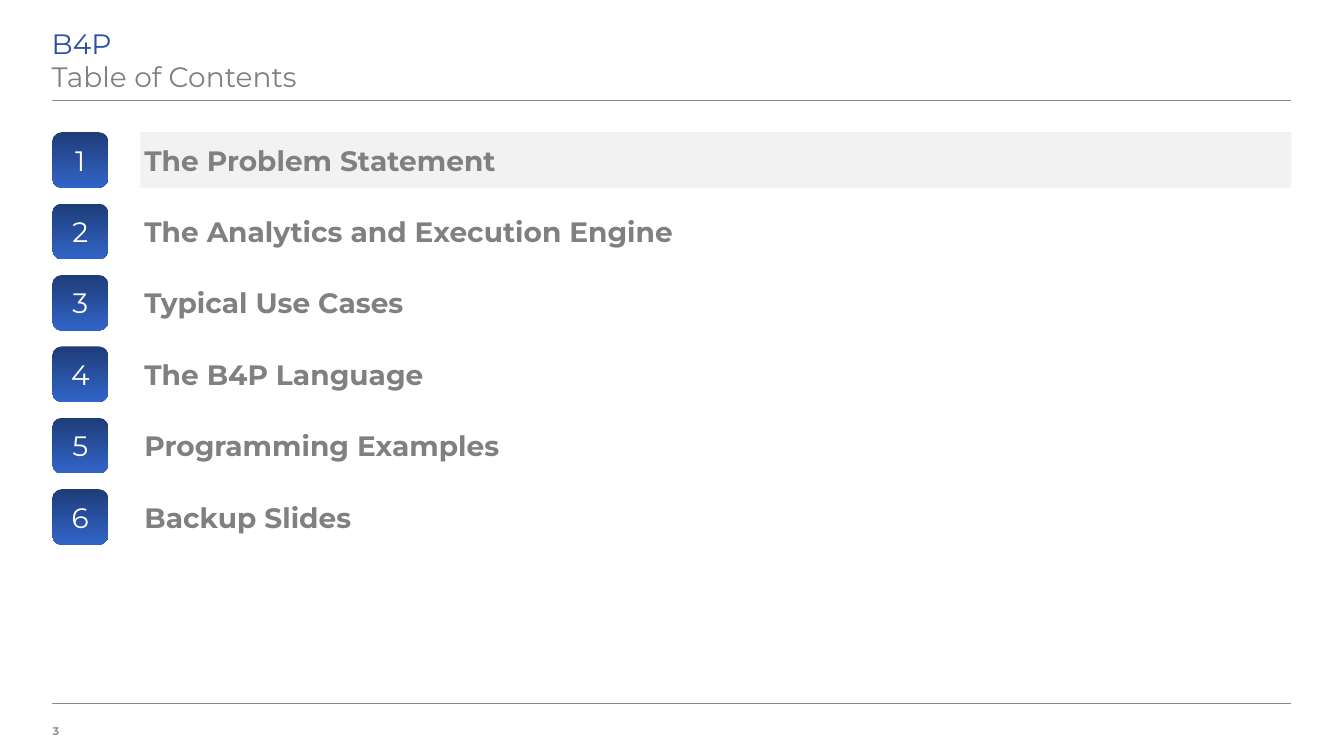
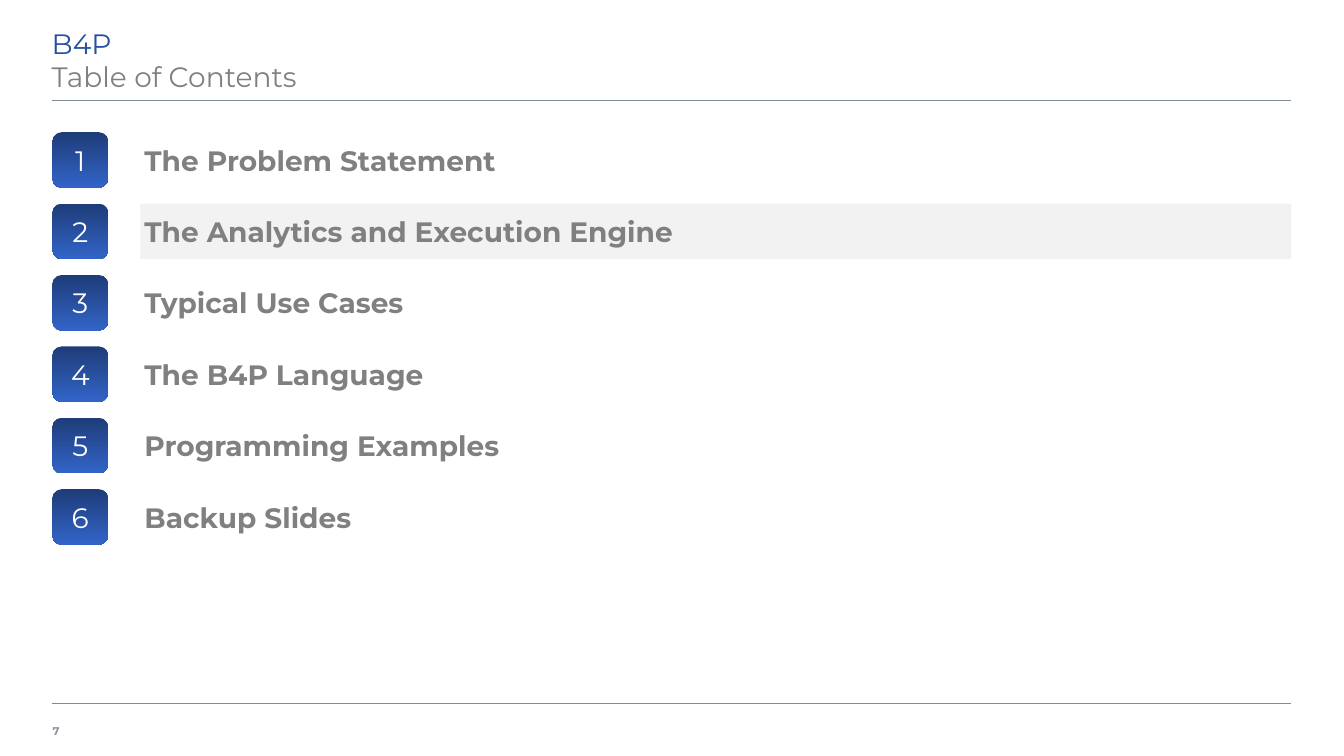
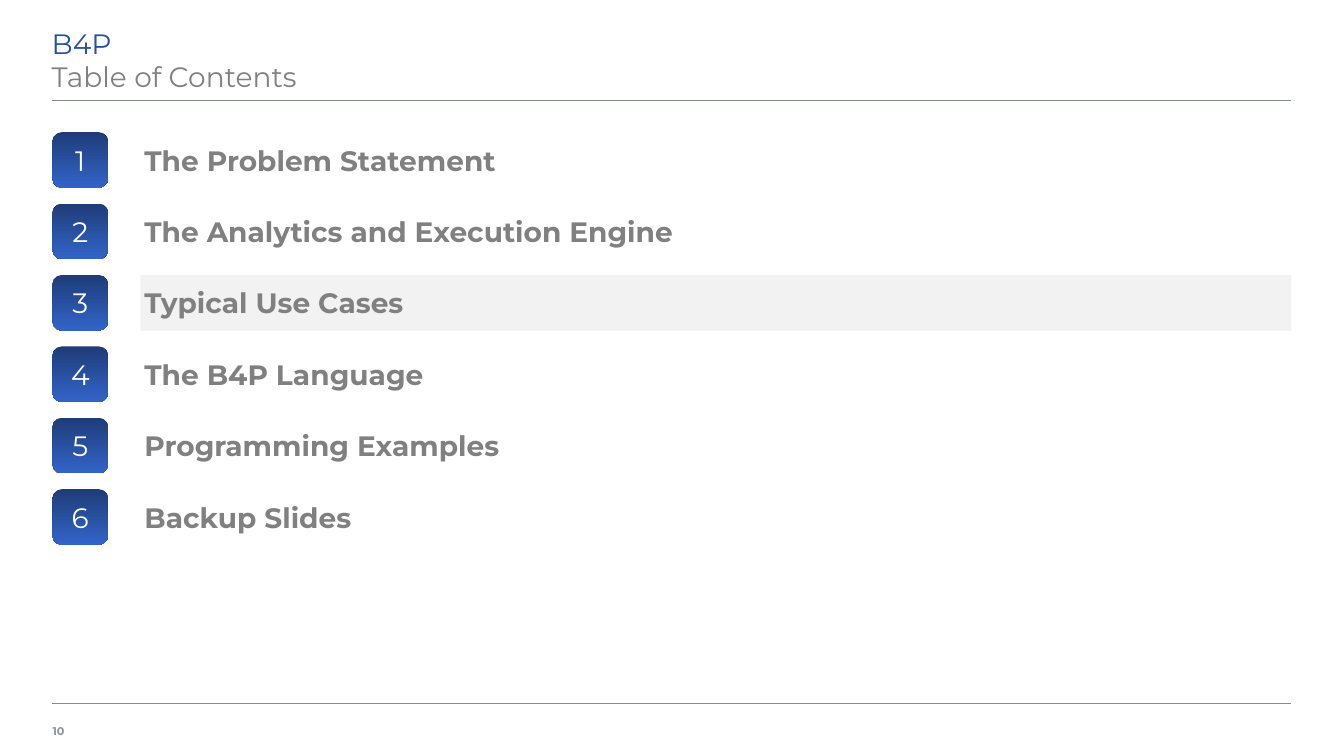
from lxml import etree
from pptx import Presentation
from pptx.dml.color import RGBColor
from pptx.enum import shapes, text
from pptx.oxml import ns
from pptx.util import Pt

BLUE = RGBColor(0x28, 0x50, 0xA0)
NAVY = RGBColor(0x1E, 0x3C, 0x78)
ROYAL = RGBColor(0x32, 0x64, 0xC8)
GRAY = RGBColor(0x80, 0x80, 0x80)
BAND = RGBColor(0xF2, 0xF2, 0xF2)
RULE = RGBColor(0x80, 0x8D, 0x97)
FOOTER = RGBColor(0x89, 0x96, 0xA0)
WHITE = RGBColor(0xFF, 0xFF, 0xFF)
FONT = "Montserrat"

LEFT, RIGHT = 37.5, 922.5
LABEL_LEFT = 100.25
ROW_TOP, ROW_PITCH, ROW_SIZE = 94.4, 51, 39.7

CHAPTERS = [
    "The Problem Statement",
    "The Analytics and Execution Engine",
    "Typical Use Cases",
    "The B4P Language",
    "Programming Examples",
    "Backup Slides",
]
CONTENTS_PAGES = [(3, 1), (7, 2), (10, 3)]


def write(p, content, size=20, color=GRAY, bold=False):
    r = p.add_run()
    r.text = content
    r.font.name = FONT
    r.font.size = Pt(size)
    r.font.bold = bold
    r.font.color.rgb = color


class Deck:
    def __init__(self):
        self.prs = Presentation()
        self.prs.slide_width, self.prs.slide_height = Pt(960), Pt(540)
        self.s = None

    def slide(self, number):
        self.s = self.prs.slides.add_slide(self.prs.slide_layouts[6])
        self.rule(502.5)
        self.rule(72)
        p = self.box(LEFT, 508.3, 34, 28, (0, 3.6, 5.76, 3.6))
        write(p, str(number), size=8, color=FOOTER, bold=True)

    def rule(self, y):
        line = self.s.shapes.add_connector(
            shapes.MSO_CONNECTOR.STRAIGHT, Pt(LEFT), Pt(y), Pt(RIGHT), Pt(y))
        line.line.color.rgb = RULE
        line.line.width = Pt(1)
        etree.SubElement(line._element.spPr, ns.qn("a:effectLst"))

    def frame(self, sp, insets=(2.83,) * 4, anchor=text.MSO_ANCHOR.MIDDLE):
        tf = sp.text_frame
        tf.word_wrap = True
        tf.vertical_anchor = anchor
        tf.margin_left, tf.margin_top, tf.margin_right, tf.margin_bottom = map(Pt, insets)
        p = tf.paragraphs[0]
        p.alignment = text.PP_ALIGN.LEFT
        return p

    def box(self, x, y, w, h, *style):
        return self.frame(self.s.shapes.add_textbox(Pt(x), Pt(y), Pt(w), Pt(h)), *style)

    def shape(self, kind, x, y, w, h):
        sp = self.s.shapes.add_shape(kind, Pt(x), Pt(y), Pt(w), Pt(h))
        sp.shadow.inherit = False
        sp.line.fill.background()
        return sp

    def title(self, topic, heading):
        p = self.box(36.9, 15.1, 884, 57, (0, 3.6, 7.2, 3.6), text.MSO_ANCHOR.TOP)
        write(p, topic, color=BLUE)
        p.add_line_break()
        write(p, heading)

    def label(self, y, content, active):
        place = LABEL_LEFT, y, RIGHT - LABEL_LEFT, ROW_SIZE
        if active:
            sp = self.shape(shapes.MSO_SHAPE.RECTANGLE, *place)
            sp.fill.solid()
            sp.fill.fore_color.rgb = BAND
            p = self.frame(sp)
        else:
            p = self.box(*place)
        write(p, content, bold=True)

    def badge(self, y, number):
        sp = self.shape(shapes.MSO_SHAPE.ROUNDED_RECTANGLE, LEFT, y, ROW_SIZE, ROW_SIZE)
        sp.fill.gradient()
        sp.fill.gradient_angle = 270
        for stop, color in zip(sp.fill.gradient_stops, (NAVY, ROYAL)):
            stop.color.rgb = color
        p = self.frame(sp)
        p.alignment = text.PP_ALIGN.CENTER
        write(p, str(number), color=WHITE)

    def contents(self, page, current):
        self.slide(page)
        self.title("B4P", "Table of Contents")
        for i, chapter in enumerate(CHAPTERS):
            y = ROW_TOP + i * ROW_PITCH
            self.label(y, chapter, active=i + 1 == current)
            self.badge(y, i + 1)


def main():
    deck = Deck()
    for page, current in CONTENTS_PAGES:
        deck.contents(page, current)
    deck.prs.save("out.pptx")


if __name__ == "__main__":
    main()
